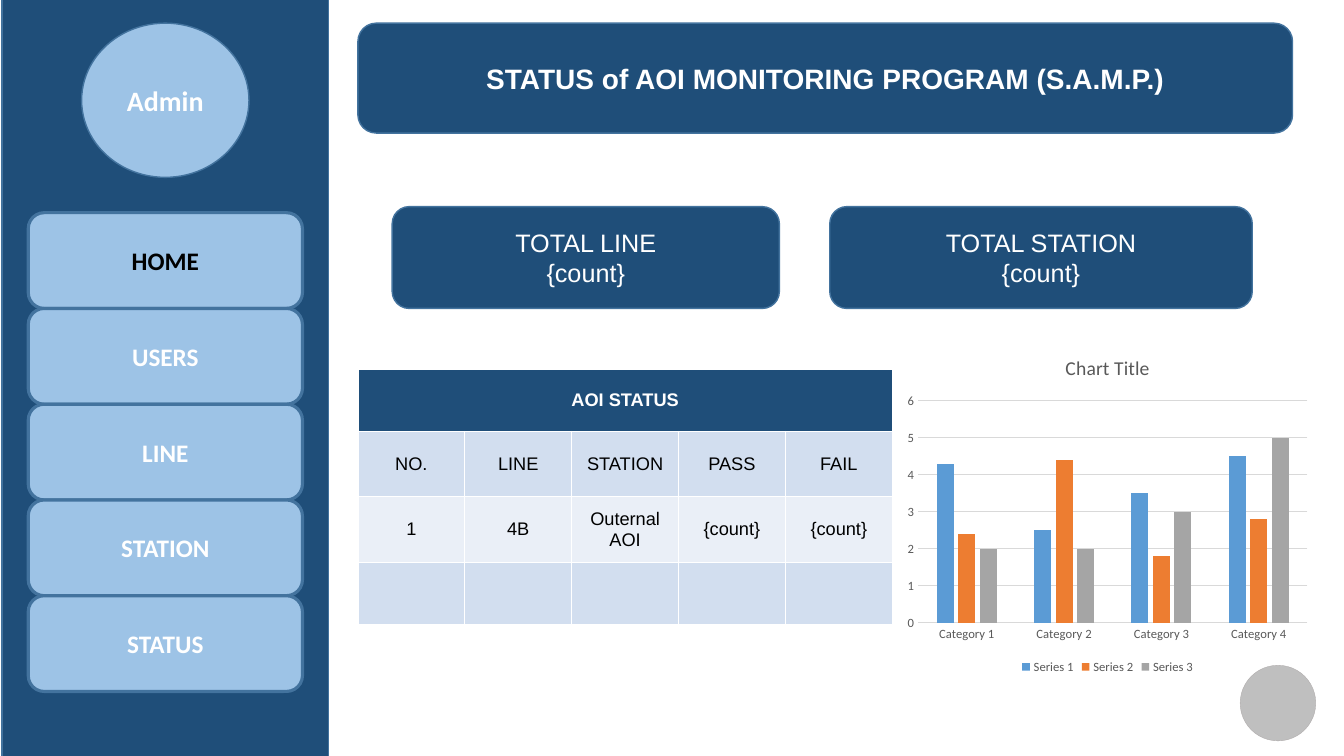
import pptx
import pptx.chart.data
import pptx.dml.color
import pptx.enum.chart
import pptx.enum.shapes
import pptx.enum.text
import pptx.util

Inches = pptx.util.Inches
Pt = pptx.util.Pt
SHAPES = pptx.enum.shapes.MSO_SHAPE
CENTER = pptx.enum.text.PP_ALIGN.CENTER
MIDDLE = pptx.enum.text.MSO_ANCHOR.MIDDLE

COLORS = {
    "navy": "1F4E79",
    "sky": "9DC3E6",
    "outline": "43739E",
    "white": "FFFFFF",
    "black": "000000",
    "gray": "BFBFBF",
    "gray line": "AFABAB",
    "band dark": "D2DEEF",
    "band light": "EAEFF7",
    "chart text": "595959",
    "grid": "D9D9D9",
    "Series 1": "5B9BD5",
    "Series 2": "ED7D31",
    "Series 3": "A5A5A5",
}


def style_font(font, name, size, color, bold=False):
    font.name = name
    font.size = Pt(size)
    font.bold = bold
    font.color.rgb = pptx.dml.color.RGBColor.from_string(COLORS[color])


def add_panel(kind, left, top, width, height, fill, line="outline", line_width=1):
    shape = slide.shapes.add_shape(
        kind, Inches(left), Inches(top), Inches(width), Inches(height)
    )
    shape.shadow.inherit = False
    shape.fill.solid()
    shape.fill.fore_color.rgb = pptx.dml.color.RGBColor.from_string(COLORS[fill])
    shape.line.color.rgb = pptx.dml.color.RGBColor.from_string(COLORS[line])
    shape.line.width = Pt(line_width)
    return shape


presentation = pptx.Presentation()
presentation.slide_width = Inches(13.33)
presentation.slide_height = Inches(7.5)
slide = presentation.slides.add_slide(presentation.slide_layouts[6])

add_panel(SHAPES.OVAL, 12.3, 6.6, 0.75, 0.75, "gray", "gray line", 0.25)
add_panel(SHAPES.RECTANGLE, 0.02, -0.02, 3.24, 7.53, "navy")

panels = [
    (SHAPES.ROUNDED_RECTANGLE, 3.55, 0.23, 9.27, 1.09, "navy", 1,
     "STATUS of AOI MONITORING PROGRAM (S.A.M.P.)", "Arial", 20, "white", True),
    (SHAPES.OVAL, 0.81, 0.23, 1.66, 1.53, "sky", 1,
     "Admin", "Calibri", 20, "white", True),
    (SHAPES.ROUNDED_RECTANGLE, 3.89, 2.05, 3.84, 1.01, "navy", 1,
     "TOTAL LINE\n{count}", "Arial", 18, "white", False),
    (SHAPES.ROUNDED_RECTANGLE, 8.23, 2.05, 4.19, 1.01, "navy", 1,
     "TOTAL STATION\n{count}", "Arial", 18, "white", False),
]
for index, label in enumerate(["HOME", "USERS", "LINE", "STATION", "STATUS"]):
    panels.append(
        (SHAPES.ROUNDED_RECTANGLE, 0.28, 2.11 + 0.95 * index, 2.72, 0.95, "sky", 2.25,
         label, "Calibri", 18, "black" if label == "HOME" else "white", True)
    )
for kind, left, top, width, height, fill, line_width, text, name, size, color, bold in panels:
    shape = add_panel(kind, left, top, width, height, fill, line_width=line_width)
    shape.text_frame.text = text
    shape.text_frame.vertical_anchor = MIDDLE
    for paragraph in shape.text_frame.paragraphs:
        paragraph.alignment = CENTER
        style_font(paragraph.font, name, size, color, bold)

status_rows = [
    ["AOI STATUS", "", "", "", ""],
    ["NO.", "LINE", "STATION", "PASS", "FAIL"],
    ["1", "4B", "Outernal AOI", "{count}", "{count}"],
    ["", "", "", "", ""],
]
row_heights = [0.62, 0.65, 0.65, 0.62]
row_fills = ["navy", "band dark", "band light", "band dark"]
table = slide.shapes.add_table(
    4, 5, Inches(3.55), Inches(3.66), Inches(5.3), Inches(2.54)
).table
table.cell(0, 0).merge(table.cell(0, 4))
for row_index, labels in enumerate(status_rows):
    table.rows[row_index].height = Inches(row_heights[row_index])
    for column_index, label in enumerate(labels):
        cell = table.cell(row_index, column_index)
        cell.fill.solid()
        cell.fill.fore_color.rgb = pptx.dml.color.RGBColor.from_string(
            COLORS[row_fills[row_index]]
        )
        cell.vertical_anchor = MIDDLE
        paragraph = cell.text_frame.paragraphs[0]
        paragraph.text = label
        paragraph.alignment = CENTER
        is_header = row_index == 0
        style_font(paragraph.font, "Arial", 13, "white" if is_header else "black", is_header)

chart_data = pptx.chart.data.CategoryChartData()
chart_data.categories = ["Category 1", "Category 2", "Category 3", "Category 4"]
chart_data.add_series("Series 1", [4.3, 2.5, 3.5, 4.5])
chart_data.add_series("Series 2", [2.4, 4.4, 1.8, 2.8])
chart_data.add_series("Series 3", [2, 2, 3, 5])
chart = slide.shapes.add_chart(
    pptx.enum.chart.XL_CHART_TYPE.COLUMN_CLUSTERED,
    Inches(8.92), Inches(3.36), Inches(4.13), Inches(3.37), chart_data,
).chart
style_font(chart.font, "Calibri", 9, "chart text")
chart.has_title = True
title_paragraph = chart.chart_title.text_frame.paragraphs[0]
title_paragraph.text = "Chart Title"
style_font(title_paragraph.font, "Calibri", 14, "chart text")
chart.chart_title.include_in_layout = False
chart.has_legend = True
chart.legend.position = pptx.enum.chart.XL_LEGEND_POSITION.BOTTOM
chart.legend.include_in_layout = False

plot = chart.plots[0]
plot.gap_width = 219
plot.overlap = -27
plot.vary_by_categories = False
for series in plot.series:
    series.format.fill.solid()
    series.format.fill.fore_color.rgb = pptx.dml.color.RGBColor.from_string(
        COLORS[series.name]
    )

for axis in (chart.category_axis, chart.value_axis):
    axis.major_tick_mark = pptx.enum.chart.XL_TICK_MARK.NONE
    axis.minor_tick_mark = pptx.enum.chart.XL_TICK_MARK.NONE
chart.value_axis.minimum_scale = 0
chart.value_axis.maximum_scale = 6
chart.value_axis.major_unit = 1
chart.value_axis.format.line.fill.background()
for line in (chart.category_axis.format.line, chart.value_axis.major_gridlines.format.line):
    line.color.rgb = pptx.dml.color.RGBColor.from_string(COLORS["grid"])
    line.width = Pt(0.75)

presentation.save("out.pptx")
